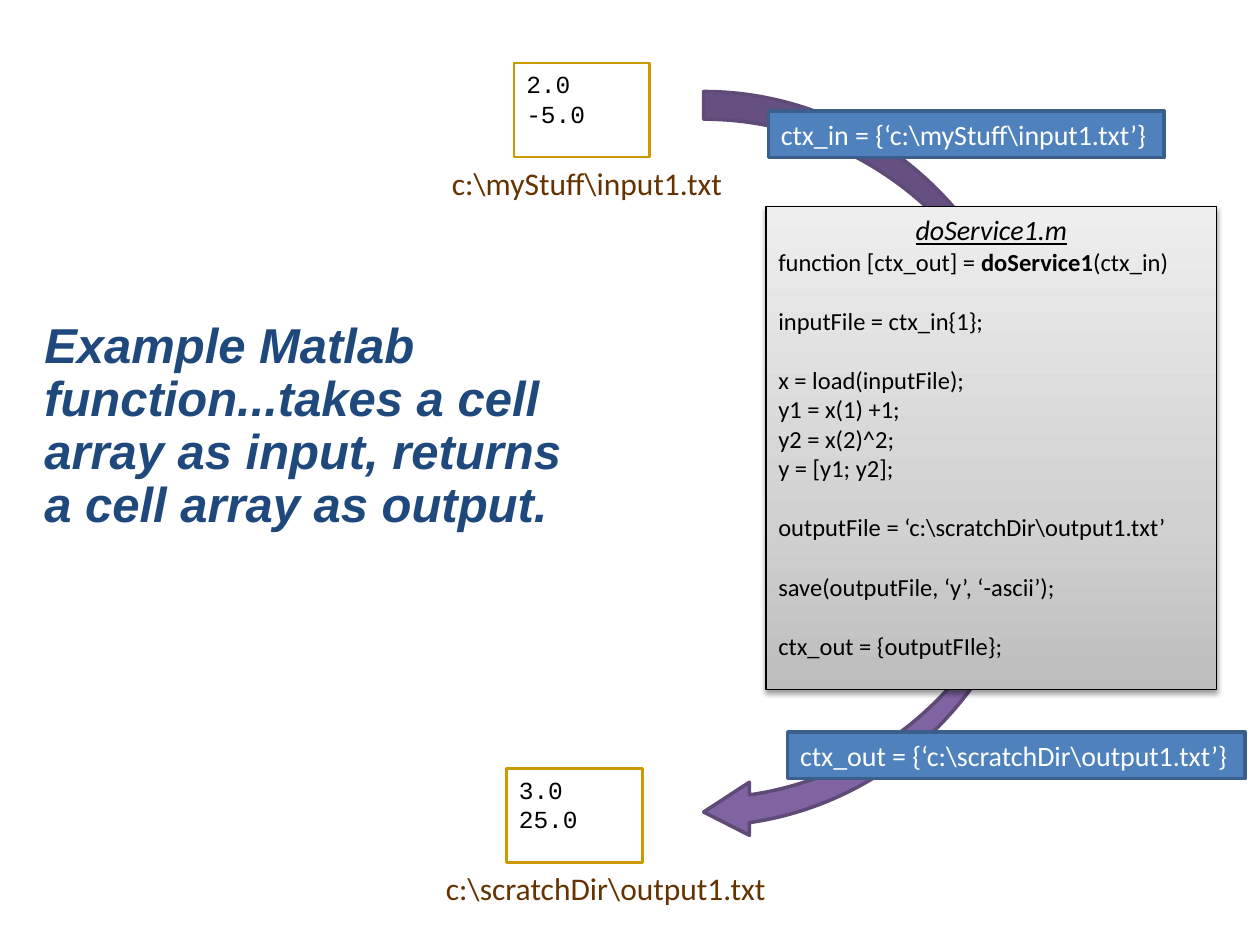
from copy import deepcopy

from lxml import etree
from pptx import Presentation
from pptx.dml.color import RGBColor
from pptx.enum.shapes import MSO_SHAPE
from pptx.enum.text import MSO_ANCHOR, MSO_AUTO_SIZE, PP_ALIGN
from pptx.oxml.ns import qn
from pptx.util import Cm, Pt

RECTANGLE = MSO_SHAPE.RECTANGLE
CURVED_ARROW = MSO_SHAPE.CURVED_DOWN_ARROW
TOP = MSO_ANCHOR.TOP
LEFT, CENTER = PP_ALIGN.LEFT, PP_ALIGN.CENTER
NO_FIT, GROW = MSO_AUTO_SIZE.NONE, MSO_AUTO_SIZE.SHAPE_TO_FIT_TEXT
TITLE_ONLY = 5

TITLE = ("Example Matlab function...takes a cell array as input, "
         "returns a cell array as output.")
# Each inner list is a block of code, set apart from the one before
CODE_BLOCKS = [
    ["inputFile = ctx_in{1};"],
    ["x = load(inputFile);", "y1 = x(1) +1;", "y2 = x(2)^2;", "y = [y1; y2];"],
    ["outputFile = ‘c:\\scratchDir\\output1.txt’"],
    ["save(outputFile, ‘y’, ‘-ascii’);"],
    ["ctx_out = {outputFIle};"],
]
# Values, file name, left and top of the value box, left and width of the label
FILES = [
    (["2.0", "-5.0"], "c:\\myStuff\\input1.txt", 10.36, 1.27, 8.86, 6.73),
    (["3.0", "25.0"], "c:\\scratchDir\\output1.txt", 10.21, 15.49, 8.74, 7.14),
]
CONTEXTS = [
    ("ctx_in = {‘c:\\myStuff\\input1.txt’}", (15.49, 2.24, 7.98, 0.94)),
    ("ctx_out = {‘c:\\scratchDir\\output1.txt’}", (15.88, 14.76, 9.22, 0.94)),
]


def color(hex_value):
    return RGBColor.from_string(hex_value)


class SlideBuilder:
    title_format = {"name": "Arial", "size": Pt(28), "bold": True, "italic": True}
    label_format = {"name": "Calibri", "size": Pt(18)}
    value_format = {"name": "Courier New", "size": Pt(14)}
    heading_format = {"name": "Calibri", "size": Pt(16), "italic": True,
                      "underline": True}
    code_format = {"name": "Calibri", "size": Pt(14)}
    context_format = {"name": "Calibri", "size": Pt(16)}
    block_gap = Pt(17)

    def __init__(self, presentation):
        layout = presentation.slide_layouts[TITLE_ONLY]
        self.slide = presentation.slides.add_slide(layout)

    def format_font(self, font, values, font_color):
        for name, value in values.items():
            setattr(font, name, value)
        font.color.rgb = color(font_color)

    def title(self, text, box):
        title = self.slide.shapes.title
        title.left, title.top, title.width, title.height = map(Cm, box)
        frame = title.text_frame
        frame.text = text
        frame.word_wrap, frame.auto_size = True, NO_FIT
        frame.vertical_anchor = TOP
        paragraph = frame.paragraphs[0]
        paragraph.alignment, paragraph.line_spacing = LEFT, 0.9
        self.format_font(paragraph.runs[0].font, self.title_format, "1F497D")

    def shape(self, kind, box, fill, line, width, parent=None):
        shapes = (parent or self.slide).shapes
        shape = shapes.add_shape(kind, *map(Cm, box))
        shape.shadow.inherit = False
        shape.fill.solid()
        shape.fill.fore_color.rgb = color(fill)
        shape.line.color.rgb = color(line)
        shape.line.width = Pt(width)
        shape.text_frame.vertical_anchor = TOP
        return shape

    def paragraph(self, shape, runs, values, font_color, align=LEFT, gap=None):
        """Add a paragraph; runs are pairs of text and bold."""
        frame = shape.text_frame
        paragraph = frame.paragraphs[0]
        if paragraph.runs:
            paragraph = frame.add_paragraph()
        paragraph.alignment = align
        if gap:
            paragraph.space_before = gap
        for text, bold in runs:
            run = paragraph.add_run()
            run.text = text
            self.format_font(run.font, {**values, "bold": bold}, font_color)

    def file(self, values, name, left, top, label_left, label_width):
        group = self.slide.shapes.add_group_shape()
        label = self.shape(RECTANGLE, (label_left, top + 1.91, label_width, 1.04),
                           "FFFFFF", "FFFFFF", 1.5, group)
        self.paragraph(label, [(name, False)], self.label_format, "663300")
        content = self.shape(RECTANGLE, (left, top, 2.74, 1.9),
                             "FFFFFF", "CC9900", 1.5, group)
        for value in values:
            self.paragraph(content, [(value, False)], self.value_format, "000000")

    def flow_arrow(self, box):
        arrow = self.shape(CURVED_ARROW, box, "8064A2", "5F4A78", 2)
        arrow.rotation = 90
        for index, value in enumerate((0.082, 0.157, 0.135)):
            arrow.adjustments[index] = value

    def gradient(self, shape, stops, angle):
        shape.fill.gradient()
        shape.fill.gradient_angle = angle
        stop_list = shape._element.spPr.find(".//" + qn("a:gsLst"))
        stop_list.append(deepcopy(stop_list[-1]))
        for stop, (position, hex_value) in zip(shape.fill.gradient_stops, stops):
            stop.position = position
            stop.color.rgb = color(hex_value)

    def drop_shadow(self, shape):
        effects = shape._element.spPr.find(qn("a:effectLst"))
        shadow = etree.SubElement(effects, qn("a:outerShdw"), {
            "blurRad": str(Pt(3.1)), "dist": str(Pt(1.6)),
            "dir": "5400000", "rotWithShape": "0"})
        shade = etree.SubElement(shadow, qn("a:srgbClr"), val="000000")
        etree.SubElement(shade, qn("a:alpha"), val="38000")

    def code(self, box):
        panel = self.shape(RECTANGLE, box, "D1D1D1", "000000", 0.75)
        self.gradient(panel, [(0, "BDBDBD"), (0.35, "D1D1D1"), (1, "EEEEEE")], 90)
        self.drop_shadow(panel)
        self.paragraph(panel, [("doService1.m", False)], self.heading_format,
                       "000000", CENTER)
        signature = [("function [ctx_out] = ", False), ("doService1", True),
                     ("(ctx_in)", False)]
        self.paragraph(panel, signature, self.code_format, "000000")
        for block in CODE_BLOCKS:
            for index, line in enumerate(block):
                gap = None if index else self.block_gap
                self.paragraph(panel, [(line, False)], self.code_format,
                               "000000", gap=gap)

    def context(self, text, box):
        shape = self.shape(RECTANGLE, box, "4F81BD", "3A5F8C", 2)
        shape.text_frame.word_wrap = False
        shape.text_frame.auto_size = GROW
        self.paragraph(shape, [(text, False)], self.context_format, "FFFFFF")


def main():
    presentation = Presentation()
    presentation.slide_width, presentation.slide_height = Cm(25.4), Cm(19.05)
    builder = SlideBuilder(presentation)

    # Message
    builder.title(TITLE, (0.64, 6.35, 11.63, 4.57))

    # Input and output files, joined by the arrow through the function
    for file in FILES:
        builder.file(*file)
    builder.flow_arrow((10.06, 5.97, 15.06, 6.81))
    builder.code((15.44, 4.17, 9.09, 9.73))

    # Cell arrays passed in and out
    for text, box in CONTEXTS:
        builder.context(text, box)

    presentation.save("out.pptx")


if __name__ == "__main__":
    main()
